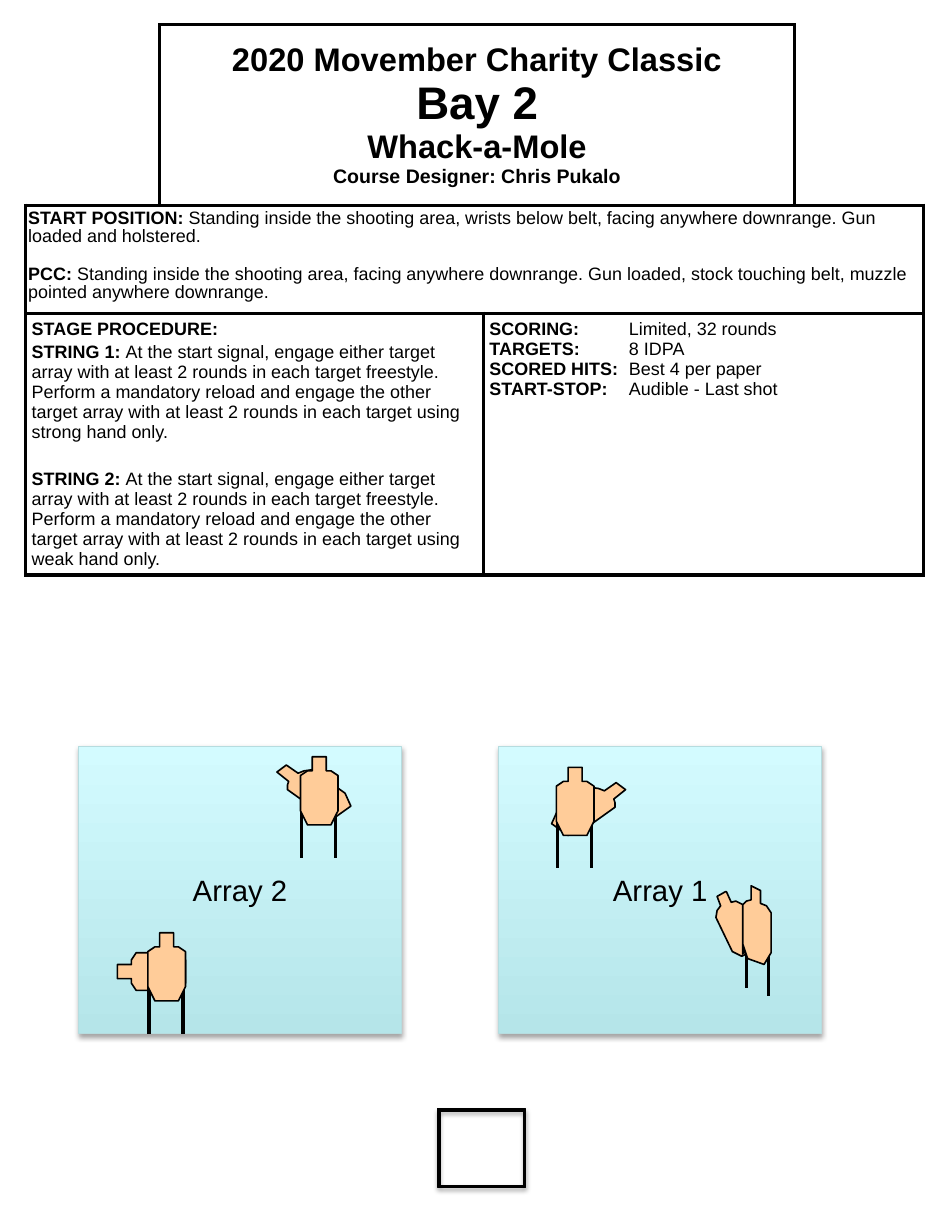
from dataclasses import dataclass
from typing import NamedTuple

from lxml import etree
from pptx import Presentation
from pptx import util as u
from pptx.dml.color import RGBColor
from pptx.enum import shapes, text
from pptx.oxml.ns import qn


@dataclass(frozen=True)
class Theme:
    font: str = "Arial"
    ink: str = "000000"
    paper: str = "FFFFFF"
    target: str = "FFCC99"
    array_low: str = "B5E5E9"
    array_high: str = "D3FBFF"
    array_edge: str = "B6DCDF"
    body: float = 11
    small: float = 12
    label: float = 18
    heading: float = 20
    title: float = 28
    border: float = 2.25
    outline: float = 1
    hairline: float = 0.75


class Point(NamedTuple):
    x: int
    y: int


class ArrayPanel(NamedTuple):
    label: str
    left: int


class Leg(NamedTuple):
    x: int
    top: int
    bottom: int


class Entry(NamedTuple):
    """A bold label followed by plain text."""
    label: str
    detail: str = ""
    space_before: float = 0


THEME = Theme()
MIDDLE = text.MSO_ANCHOR.MIDDLE
CENTER = text.PP_ALIGN.CENTER
UNIT = u.Cm(2.54) // 100  # drawing grid: a hundredth of an inch

PANELS = [ArrayPanel("Array 2", 67), ArrayPanel("Array 1", 425)]
HEADER = [("2020 Movember Charity Classic", THEME.heading), ("Bay 2", THEME.title),
          ("Whack-a-Mole", THEME.heading), ("Course Designer: Chris Pukalo", THEME.small)]
POSITIONS = [
    Entry("START POSITION:", " Standing inside the shooting area, wrists below belt, facing "
          "anywhere downrange. Gun loaded and holstered."),
    Entry("PCC: ", "Standing inside the shooting area, facing anywhere downrange. Gun loaded, "
          "stock touching belt, muzzle pointed anywhere downrange.", 12.7),
]
STRING = ("At the start signal, engage either target array with at least 2 rounds in each target "
          "freestyle. Perform a mandatory reload and engage the other target array with at least "
          "2 rounds in each target using {} hand only.")
PROCEDURE = [Entry("STAGE PROCEDURE:"), Entry("STRING 1: ", STRING.format("strong"), 2.2),
             Entry("STRING 2: ", STRING.format("weak"), 16.5)]
SCORING = [Entry("SCORING:", "\tLimited, 32 rounds"), Entry("TARGETS:", "\t8 IDPA"),
           Entry("SCORED HITS:", "\tBest 4 per paper"), Entry("START-STOP:", "\tAudible - Last shot")]

UPRIGHT = [Point(10, 0), Point(22, 0), Point(22, 12), Point(26, 12), Point(32, 16), Point(32, 46),
           Point(26, 58), Point(6, 58), Point(0, 46), Point(0, 16), Point(6, 12), Point(10, 12)]
LEANING_RIGHT = [Point(525, 667), Point(533, 673), Point(523, 681), Point(524, 684),
                 Point(524, 688), Point(496, 708), Point(484, 712), Point(470, 702),
                 Point(475, 691), Point(503, 671), Point(510, 672), Point(515, 674)]
LEANING_LEFT = [Point(769 - p.x, p.y - 15) for p in LEANING_RIGHT]
TURNED_BACK = [Point(618, 760), Point(611, 764), Point(614, 772), Point(611, 776),
               Point(610, 782), Point(624, 811), Point(632, 815), Point(646, 808),
               Point(645, 796), Point(633, 771), Point(627, 768), Point(623, 769), Point(619, 760)]
TURNED_EDGE = [Point(632, 814), Point(645, 807), Point(645, 796), Point(632, 770)]
TURNED_FRONT = [Point(648, 759), Point(640, 755), Point(640, 767), Point(636, 768),
                Point(633, 771), Point(633, 805), Point(637, 817), Point(651, 822),
                Point(657, 812), Point(657, 778), Point(653, 772), Point(648, 770)]


def grid(value: float) -> u.Emu:
    return u.Emu(round(value * UNIT))


def rgb(value: str) -> RGBColor:
    return RGBColor.from_string(value)


def write(paragraph, content: str, *, size: float = THEME.body, bold: bool = False) -> None:
    run = paragraph.add_run()
    run.text = content
    run.font.name, run.font.size, run.font.bold = THEME.font, u.Pt(size), bold
    run.font.color.rgb = rgb(THEME.ink)


def write_entries(cell, entries: list[Entry], *, spacing: float = 1.0, tab=None) -> None:
    for index, entry in enumerate(entries):
        frame = cell.text_frame
        paragraph = frame.add_paragraph() if index else frame.paragraphs[0]
        if tab:
            tabs = etree.SubElement(paragraph._p.get_or_add_pPr(), qn("a:tabLst"))
            etree.SubElement(tabs, qn("a:tab"), pos=str(tab), algn="l")
        paragraph.line_spacing = spacing
        paragraph.space_before = u.Pt(entry.space_before)
        write(paragraph, entry.label, bold=True)
        if entry.detail:
            write(paragraph, entry.detail)


def style_cell(cell, sides: str) -> None:
    """Border the sides named by L, R, T and B, and hide the others."""
    properties = cell._tc.get_or_add_tcPr()
    for side in "LRTB":
        line = etree.SubElement(properties, qn(f"a:ln{side}"), w=str(u.Pt(THEME.border)))
        if side in sides:
            solid = etree.SubElement(line, qn("a:solidFill"))
            etree.SubElement(solid, qn("a:srgbClr"), val=THEME.ink)
        else:
            etree.SubElement(line, qn("a:noFill"))
    cell.fill.solid()
    cell.fill.fore_color.rgb = rgb(THEME.paper)


def set_margins(cell, horizontal: float, vertical: float) -> None:
    cell.margin_left = cell.margin_right = grid(horizontal)
    cell.margin_top = cell.margin_bottom = grid(vertical)


def add_briefing(slide) -> None:
    widths, heights = (114, 276, 265, 110), (154, 92, 223)
    table = slide.shapes.add_table(3, 4, grid(22), grid(21), grid(sum(widths)),
                                   grid(sum(heights))).table
    table.first_row = table.horz_banding = False
    for column, width in zip(table.columns, widths):
        column.width = grid(width)
    for row, height in zip(table.rows, heights):
        row.height = grid(height)
    for row in range(3):
        for column in range(4):
            sides = {(0, 0): "RB", (0, 3): "LB"}.get((row, column), "LRTB")
            style_cell(table.cell(row, column), sides)
            set_margins(table.cell(row, column), 5, 5)
    for first, last in (((0, 1), (0, 2)), ((1, 0), (1, 3)), ((2, 0), (2, 1)), ((2, 2), (2, 3))):
        table.cell(*first).merge(table.cell(*last))

    header = table.cell(0, 1)
    header.vertical_anchor = MIDDLE
    paragraph = header.text_frame.paragraphs[0]
    paragraph.alignment = CENTER
    for index, (line, size) in enumerate(HEADER):
        if index:
            paragraph.add_line_break()
        write(paragraph, line, size=size, bold=True)
    set_margins(table.cell(1, 0), 2, 4)
    write_entries(table.cell(1, 0), POSITIONS, spacing=0.9)
    write_entries(table.cell(2, 0), PROCEDURE)
    write_entries(table.cell(2, 2), SCORING, tab=u.Cm(3.02))


def add_shadow(shape) -> None:
    effects = etree.SubElement(shape._element.spPr, qn("a:effectLst"))
    shadow = etree.SubElement(effects, qn("a:outerShdw"), blurRad=str(u.Pt(3.1)),
                              dist=str(u.Pt(1.8)), dir="5400000", rotWithShape="0")
    color = etree.SubElement(shadow, qn("a:srgbClr"), val=THEME.ink)
    etree.SubElement(color, qn("a:alpha"), val="35000")


def add_panel(slide, panel: ArrayPanel) -> None:
    shape = slide.shapes.add_shape(shapes.MSO_SHAPE.RECTANGLE, grid(panel.left), grid(636),
                                   grid(275), grid(245))
    shape.fill.gradient()
    shape.fill.gradient_angle = 90
    for stop, color in zip(shape.fill.gradient_stops, (THEME.array_low, THEME.array_high)):
        stop.color.rgb = rgb(color)
    shape.line.color.rgb, shape.line.width = rgb(THEME.array_edge), u.Pt(THEME.hairline)
    add_shadow(shape)
    shape.text_frame.vertical_anchor = MIDDLE
    paragraph = shape.text_frame.paragraphs[0]
    paragraph.alignment = CENTER
    write(paragraph, panel.label, size=THEME.label)


def add_shooting_area(slide) -> None:
    shape = slide.shapes.add_shape(shapes.MSO_SHAPE.FRAME, grid(373), grid(945), grid(75), grid(67))
    shape.adjustments[0] = 0.028
    shape.fill.solid()
    shape.fill.fore_color.rgb = shape.line.color.rgb = rgb(THEME.ink)
    shape.line.width = u.Pt(THEME.hairline)
    add_shadow(shape)


def add_outline(parent, points: list[Point], *, fill: str = THEME.target,
                outline: float = THEME.outline, rotation: float = 0) -> None:
    builder = parent.shapes.build_freeform(*points[0], scale=UNIT)
    builder.add_line_segments(points[1:], close=True)
    shape = builder.convert_to_shape()
    shape.shadow.inherit = False
    shape.rotation = rotation
    shape.fill.solid()
    shape.fill.fore_color.rgb = rgb(fill)
    if outline:
        shape.line.color.rgb, shape.line.width = rgb(THEME.ink), u.Pt(outline)
    else:
        shape.line.fill.background()


def add_leg(parent, leg: Leg, width: float = THEME.border) -> None:
    line = parent.shapes.add_connector(shapes.MSO_CONNECTOR.STRAIGHT, grid(leg.x), grid(leg.top),
                                       grid(leg.x), grid(leg.bottom))
    line.line.color.rgb, line.line.width = rgb(THEME.ink), u.Pt(width)
    etree.SubElement(line._element.spPr, qn("a:effectLst"))


def upright_at(left: int, top: int) -> list[Point]:
    return [Point(left + p.x, top + p.y) for p in UPRIGHT]


def add_stand(slide, left: int, top: int) -> None:
    group = slide.shapes.add_group_shape()
    for offset in (1, 30):
        add_leg(group, Leg(left + offset, top + 43, top + 86))
    add_outline(group, upright_at(left, top))


def add_turned_pair(slide) -> None:
    group = slide.shapes.add_group_shape()
    add_outline(group, TURNED_BACK)
    add_outline(group, TURNED_EDGE, fill=THEME.ink, outline=0)
    for leg in (Leg(655, 797, 849), Leg(636, 790, 842)):
        add_leg(group, leg, 2)
    add_outline(group, TURNED_FRONT)


def main() -> None:
    presentation = Presentation()
    presentation.slide_width, presentation.slide_height = u.Cm(20.32), u.Cm(26.67)
    slide = presentation.slides.add_slide(presentation.slide_layouts[6])
    for panel in PANELS:
        add_panel(slide, panel)
    add_briefing(slide)
    add_outline(slide, upright_at(113, 799), rotation=270)
    add_shooting_area(slide)
    add_turned_pair(slide)
    add_outline(slide, LEANING_RIGHT)
    add_stand(slide, 474, 654)
    add_outline(slide, LEANING_LEFT)
    add_stand(slide, 256, 645)
    add_stand(slide, 126, 795)
    presentation.save("out.pptx")


if __name__ == "__main__":
    main()
